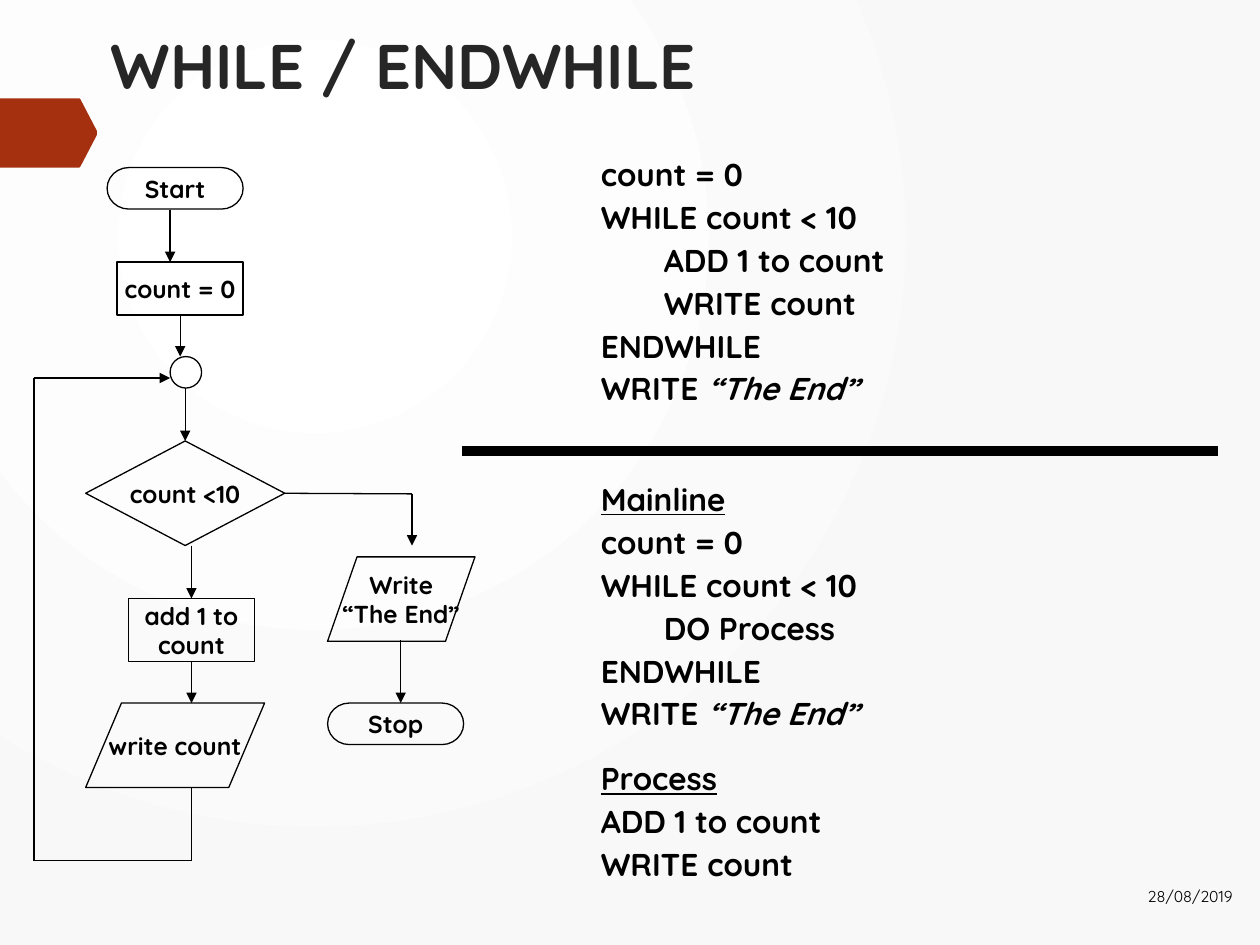
import itertools

import lxml.etree
import pptx
import pptx.dml.color
import pptx.enum.shapes
import pptx.enum.text
import pptx.oxml.ns
import pptx.util

Inches = pptx.util.Inches
Pt = pptx.util.Pt
qn = pptx.oxml.ns.qn
SHAPES = pptx.enum.shapes.MSO_SHAPE
ALIGN = pptx.enum.text.PP_ALIGN
ANCHOR = pptx.enum.text.MSO_ANCHOR

COLOURS = {
    "ink": "000000",
    "title": "262626",
    "marker": "A53010",
    "centre": "FFFFFF",
    "edge": "F8F8F8",
}
TOP, LEFT, BOTTOM, RIGHT = range(4)


def colour(name):
    return pptx.dml.color.RGBColor.from_string(COLOURS[name])


class SlideBuilder:
    font_name = "Quicksand"
    outline = 0.75

    def __init__(self, slide):
        self.slide = slide

    def background(self):
        """Radial gradient centred a quarter of the way in from the top left."""
        fill = self.slide.background.fill
        fill.gradient()
        for stop, name in zip(fill.gradient_stops, ("centre", "edge")):
            stop.color.rgb = colour(name)
        gradient = self.slide.background._cSld.find(".//" + qn("a:gradFill"))
        gradient.remove(gradient.find(qn("a:lin")))
        radial = lxml.etree.SubElement(gradient, qn("a:path"), path="circle")
        lxml.etree.SubElement(radial, qn("a:fillToRect"),
                              l="50000", t="50000", r="100000", b="100000")

    def add_run(self, paragraph, text, colour_name="ink", **formats):
        run = paragraph.add_run()
        run.text = text
        for name, value in {"name": self.font_name, "bold": True, **formats}.items():
            setattr(run.font, name, value)
        run.font.color.rgb = colour(colour_name)

    def text(self, box, text, size, colour_name="ink", bold=True,
             align=ALIGN.LEFT, anchor=ANCHOR.TOP):
        frame = self.slide.shapes.add_textbox(*map(Inches, box)).text_frame
        frame.word_wrap = True
        frame.vertical_anchor = anchor
        paragraph = frame.paragraphs[0]
        paragraph.alignment = align
        self.add_run(paragraph, text, colour_name, size=Pt(size), bold=bold)

    def pseudocode(self, box, lines):
        """Each line is (text, style): indent, heading, or quote for an italic ending."""
        frame = self.slide.shapes.add_textbox(*map(Inches, box)).text_frame
        frame.word_wrap = True
        for index, (text, style) in enumerate(lines):
            paragraph = frame.add_paragraph() if index else frame.paragraphs[0]
            paragraph.line_spacing = 0.75
            if index:
                paragraph.space_before = Pt(20.8 if style == "heading" else 8.3)
            if style == "indent":
                paragraph._p.get_or_add_pPr().set("marL", str(Inches(0.5)))
            self.add_run(paragraph, text, size=Pt(18), underline=style == "heading")
            if style == "quote":
                self.add_run(paragraph, "“The End”", size=Pt(18), italic=True)

    def node(self, kind, box, *lines):
        shape = self.slide.shapes.add_shape(kind, *map(Inches, box))
        shape.shadow.inherit = False
        shape.fill.background()
        shape.line.color.rgb = colour("ink")
        shape.line.width = Pt(self.outline)
        frame = shape.text_frame
        frame.word_wrap = False
        frame.vertical_anchor = ANCHOR.MIDDLE
        for index, text in enumerate(lines):
            paragraph = frame.add_paragraph() if index else frame.paragraphs[0]
            paragraph.alignment = ALIGN.CENTER
            self.add_run(paragraph, text, size=Pt(14))
        return shape

    def line(self, start, end, arrow=False, width=outline):
        """An end is a point (x, y) in inches or a (shape, side) to join."""
        joined = [not isinstance(place[0], (int, float)) for place in (start, end)]
        points = [(0, 0) if join else tuple(map(Inches, place))
                  for join, place in zip(joined, (start, end))]
        connector = self.slide.shapes.add_connector(
            pptx.enum.shapes.MSO_CONNECTOR.STRAIGHT, *points[0], *points[1])
        if joined[0]:
            connector.begin_connect(*start)
        if joined[1]:
            connector.end_connect(*end)
        connector.line.color.rgb = colour("ink")
        connector.line.width = Pt(width)
        if arrow:
            lxml.etree.SubElement(connector.line._get_or_add_ln(),
                                  qn("a:tailEnd"), type="triangle")
        lxml.etree.SubElement(connector._element.spPr, qn("a:effectLst"))

    def route(self, *places):
        """Chain of lines with an arrowhead on the last one."""
        for start, end in itertools.pairwise(places):
            self.line(start, end, arrow=end is places[-1])

    def polygon(self, points, colour_name):
        corners = [tuple(map(Inches, point)) for point in points]
        builder = self.slide.shapes.build_freeform(*corners[0])
        builder.add_line_segments(corners[1:], close=True)
        shape = builder.convert_to_shape()
        shape.shadow.inherit = False
        shape.fill.solid()
        shape.fill.fore_color.rgb = colour(colour_name)
        shape.line.fill.background()


def draw_flowchart(builder):
    builder.node(SHAPES.FLOWCHART_TERMINATOR, (0.85, 1.33, 1.08, 0.33), "Start")
    initialise = builder.node(SHAPES.FLOWCHART_PROCESS, (0.93, 2.08, 1, 0.42), "count = 0")
    builder.node(SHAPES.FLOWCHART_CONNECTOR, (1.35, 2.83, 0.25, 0.25))
    decision = builder.node(SHAPES.FLOWCHART_DECISION, (0.68, 3.5, 1.58, 0.83), "count <10")
    increment = builder.node(SHAPES.FLOWCHART_PROCESS, (1.02, 4.75, 1, 0.5),
                             "add 1 to", "count")
    builder.node(SHAPES.FLOWCHART_DATA, (0.68, 5.58, 1.42, 0.67), "write count")
    builder.node(SHAPES.FLOWCHART_DATA, (2.6, 4.42, 1.17, 0.67), "Write", "“The End”")
    builder.node(SHAPES.FLOWCHART_TERMINATOR, (2.6, 5.58, 1.08, 0.33), "Stop")

    builder.route((1.35, 1.67), (1.35, 2.08))
    builder.route((initialise, BOTTOM), (1.43, 2.83))
    builder.route((1.47, 3.08), (decision, TOP))
    builder.route((1.52, 4.33), (increment, TOP))
    builder.route((increment, BOTTOM), (1.52, 5.58))
    builder.route((decision, RIGHT), (3.27, 3.92), (3.27, 4.33))
    builder.route((3.18, 5.08), (3.18, 5.58))
    builder.route((1.52, 6.25), (1.52, 6.83), (0.27, 6.83), (0.27, 3), (1.35, 3))


def loop_lines(*body):
    """The counting loop around the given indented body lines."""
    return [("count = 0", ""), ("WHILE count < 10", ""),
            *((text, "indent") for text in body),
            ("ENDWHILE", ""), ("WRITE ", "quote")]


def main():
    presentation = pptx.Presentation()
    presentation.slide_width = Inches(10)
    presentation.slide_height = Inches(7.5)
    builder = SlideBuilder(presentation.slides.add_slide(presentation.slide_layouts[6]))
    steps = ("ADD 1 to count", "WRITE count")

    builder.background()
    builder.polygon([(0, 0.78), (0.63, 0.78), (0.64, 0.79), (0.77, 1.04), (0.77, 1.07),
                     (0.64, 1.32), (0.63, 1.33), (0, 1.33)], "marker")
    builder.text((0.78, 0.16, 9.1, 0.89), "WHILE / ENDWHILE", 36, "title")
    draw_flowchart(builder)
    builder.pseudocode((4.67, 1.25, 5.17, 2.21), loop_lines(*steps))
    builder.pseudocode((4.67, 3.83, 5.17, 3.9), [
        ("Mainline", "heading"), *loop_lines("DO Process"),
        ("Process", "heading"), *((text, "") for text in steps)])
    builder.line((3.67, 3.58), (9.67, 3.58), width=6)
    builder.text((8.41, 6.91, 1.47, 0.4), "28/08/2019", 9, bold=False,
                 align=ALIGN.RIGHT, anchor=ANCHOR.MIDDLE)
    presentation.save("out.pptx")


if __name__ == "__main__":
    main()
